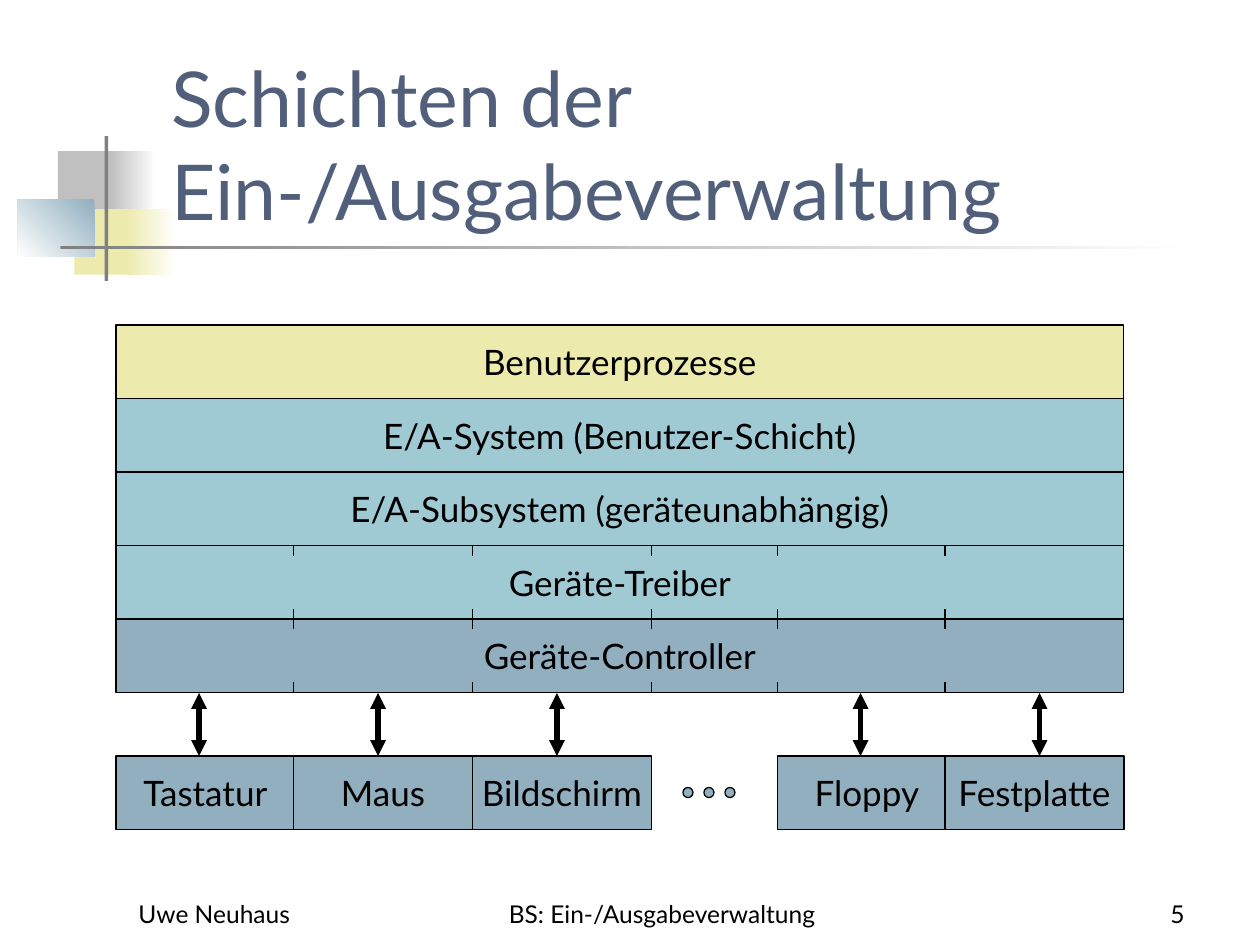
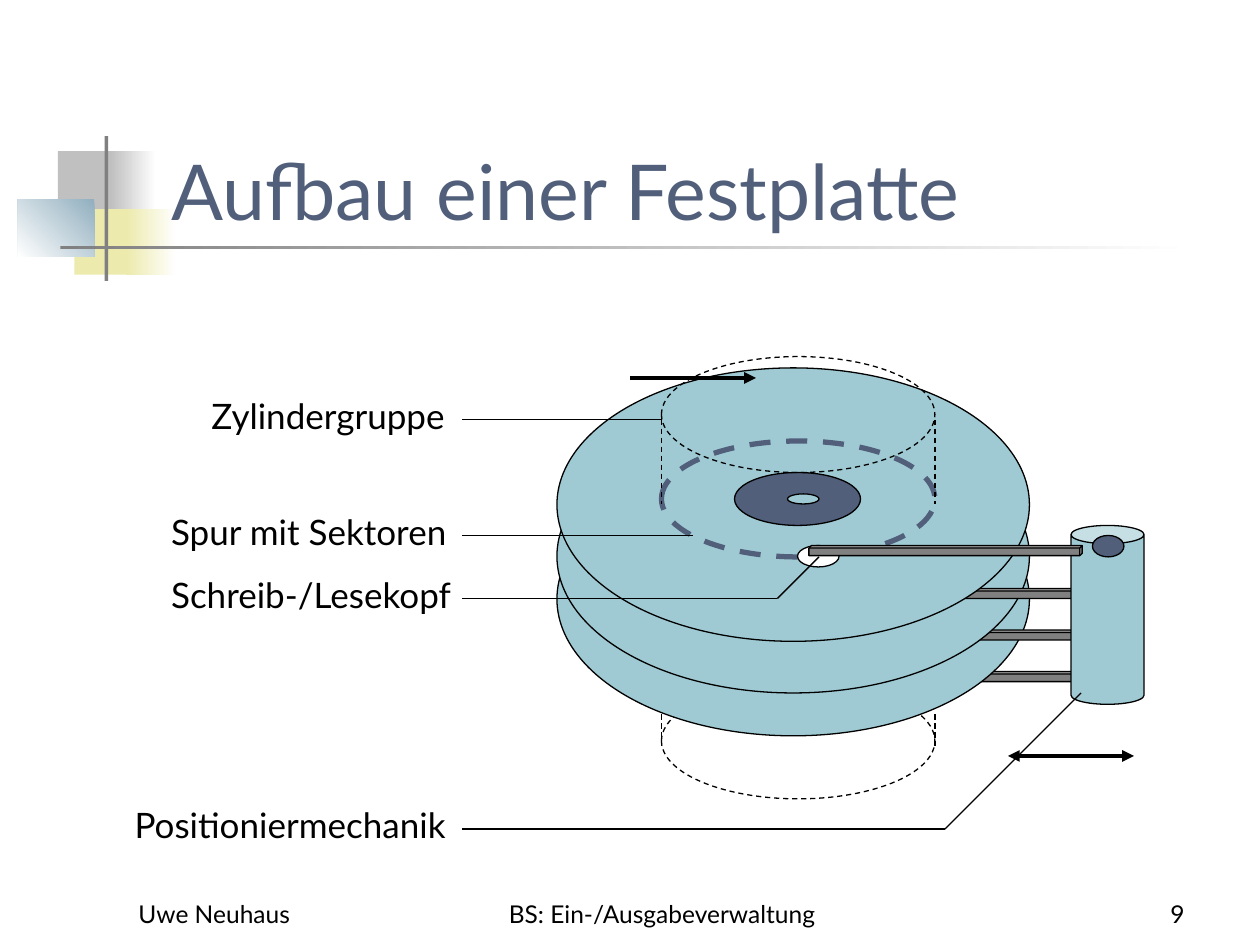
"""Build two slides on I/O management: the software layers and the structure of a hard disk."""
from lxml import etree
from pptx import Presentation
from pptx.dml.color import RGBColor
from pptx.enum import dml, shapes, text
from pptx.oxml.ns import qn
from pptx.util import Inches, Pt

FONT = "Lato"
BLACK = RGBColor(0x00, 0x00, 0x00)
WHITE = RGBColor(0xFF, 0xFF, 0xFF)
SILVER = RGBColor(0xC0, 0xC0, 0xC0)
GRAY = RGBColor(0x80, 0x80, 0x80)
YELLOW = RGBColor(0xEC, 0xEA, 0xAC)
STEEL = RGBColor(0x91, 0xAF, 0xBF)
AQUA = RGBColor(0x9F, 0xCA, 0xD3)
NAVY = RGBColor(0x51, 0x5F, 0x7B)

KIND = shapes.MSO_SHAPE
LEFT, CENTER, RIGHT = text.PP_ALIGN.LEFT, text.PP_ALIGN.CENTER, text.PP_ALIGN.RIGHT
TOP, MIDDLE, BOTTOM = text.MSO_ANCHOR.TOP, text.MSO_ANCHOR.MIDDLE, text.MSO_ANCHOR.BOTTOM


def add_shape(s, kind, x, y, w, h, fill=None, edge=BLACK, width=0.75, dashed=False):
    sp = s.shapes.add_shape(kind, Inches(x), Inches(y), Inches(w), Inches(h))
    sp.shadow.inherit = False
    if fill is None:
        sp.fill.background()
    else:
        sp.fill.solid()
        sp.fill.fore_color.rgb = fill
    if edge is None:
        sp.line.fill.background()
    else:
        sp.line.color.rgb = edge
        sp.line.width = Pt(width)
    if dashed:
        sp.line.dash_style = dml.MSO_LINE.DASH
    return sp


def set_text(sp, content, size=20, color=BLACK, align=LEFT, anchor=TOP, wrap=True):
    tf = sp.text_frame
    tf.word_wrap = wrap
    tf.vertical_anchor = anchor
    tf.text = content
    p = tf.paragraphs[0]
    p.alignment = align
    for r in p.runs:
        r.font.name = FONT
        r.font.size = Pt(size)
        r.font.color.rgb = color


prs = Presentation()
prs.slide_width, prs.slide_height = Inches(10), Inches(7.5)

DECOR = [
    (0.46, 1.2, 0.48, 0.52, SILVER, SILVER, 0),
    (0.88, 1.2, 0.36, 0.52, SILVER, WHITE, 0),
    (0.59, 1.66, 0.46, 0.52, YELLOW, YELLOW, 0),
    (1, 1.66, 0.4, 0.52, YELLOW, WHITE, 0),
    (0.14, 1.58, 0.61, 0.46, STEEL, WHITE, 225),
    (0.83, 1.08, 0.03, 1.15, GRAY, GRAY, 0),
    (0.48, 1.95, 9, 0.03, GRAY, WHITE, 0),
]
TITLES = [("Schichten der \vEin-/Ausgabeverwaltung", "5"), ("Aufbau einer Festplatte", "9")]

for title, number in TITLES:
    s = prs.slides.add_slide(prs.slide_layouts[6])
    for x, y, w, h, start, end, angle in DECOR:
        sp = add_shape(s, KIND.RECTANGLE, x, y, w, h, start, None)
        if start != end:
            sp.fill.gradient()
            sp.fill.gradient_angle = angle
            for stop, color in zip(sp.fill.gradient_stops, (start, end)):
                stop.color.rgb = color
    for x, y, w, h, content, size, color, align in [
        (1.26, 0.67, 8.52, 1.25, title, 44, NAVY, LEFT),
        (1, 6.92, 2.08, 0.5, "Uwe Neuhaus", 14, BLACK, LEFT),
        (3.67, 6.92, 3.17, 0.5, "BS: Ein-/Ausgabeverwaltung", 14, BLACK, CENTER),
        (7.42, 6.92, 2.08, 0.5, number, 14, BLACK, RIGHT),
    ]:
        sp = s.shapes.add_textbox(Inches(x), Inches(y), Inches(w), Inches(h))
        set_text(sp, content, size, color, align, BOTTOM)

layers, disk = prs.slides
lines = []

LAYERS = [
    ("Benutzerprozesse", YELLOW),
    ("E/A-System (Benutzer-Schicht)", AQUA),
    ("E/A-Subsystem (geräteunabhängig)", AQUA),
    ("Geräte-Treiber", AQUA),
    ("Geräte-Controller", STEEL),
]
ROW_H = 7 / 12
TICK = 0.08
for i, (name, fill) in enumerate(LAYERS):
    y = 2.58 + i * ROW_H
    sp = add_shape(layers, KIND.RECTANGLE, 0.92, y, 8, ROW_H, fill)
    set_text(sp, name, align=CENTER, anchor=MIDDLE, wrap=False)
    if name in ("Geräte-Treiber", "Geräte-Controller"):
        for x in (2.33, 3.75, 5.17, 6.17, 7.5):
            for top in (y, y + ROW_H - TICK):
                lines.append((layers, x, top, x, top + TICK, 0.75, False, False))

DEVICES = [
    ("Tastatur", 0.92, 1.58),
    ("Maus", 2.33, 3),
    ("Bildschirm", 3.75, 4.42),
    ("Floppy", 6.17, 6.83),
    ("Festplatte", 7.5, 8.25),
]
for name, x, arrow_x in DEVICES:
    sp = add_shape(layers, KIND.RECTANGLE, x, 6, 1.42, ROW_H, STEEL)
    set_text(sp, name, align=CENTER, anchor=MIDDLE, wrap=False)
    lines.append((layers, arrow_x, 5.5, arrow_x, 6, 3, False, True))
for i in range(3):
    add_shape(layers, KIND.OVAL, 5.42 + i / 6, 6.25, 0.08, 0.08, STEEL)

add_shape(disk, KIND.OVAL, 5.25, 5.42, 2.17, 0.92, dashed=True)
for arm_y, platter_y in ((5.33, 3.67), (5, 3.33), (4.67, 2.92)):
    add_shape(disk, KIND.CUBE, 6.42, arm_y, 2.17, 0.08, GRAY)
    add_shape(disk, KIND.OVAL, 4.42, platter_y, 3.75, 2.17, AQUA)
add_shape(disk, KIND.CAN, 8.5, 4.17, 0.58, 1.42, AQUA)
add_shape(disk, KIND.OVAL, 8.67, 4.25, 0.25, 0.17, NAVY)
add_shape(disk, KIND.OVAL, 5.25, 3.5, 2.17, 0.92, AQUA, NAVY, 3, True)
add_shape(disk, KIND.OVAL, 5.83, 3.75, 1, 0.42, NAVY)
add_shape(disk, KIND.OVAL, 6.25, 3.92, 0.25, 0.08, AQUA)
add_shape(disk, KIND.OVAL, 6.33, 4.33, 0.33, 0.17, WHITE)
add_shape(disk, KIND.CUBE, 6.42, 4.33, 2.17, 0.08, GRAY)
add_shape(disk, KIND.OVAL, 5.25, 2.83, 2.17, 0.92, dashed=True)

ROTATION = [(4.58, 3.19), (5, 2.87), (5.56, 2.67), (6.16, 2.67)]
SWING = [(8.5, 5.64), (8.6, 5.9), (8.98, 5.9), (9.08, 5.63)]
STEPS = 20
for controls, ends in ((ROTATION, ["a:tailEnd"]), (SWING, ["a:headEnd", "a:tailEnd"])):
    points = []
    for i in range(STEPS + 1):
        t = i / STEPS
        weights = ((1 - t) ** 3, 3 * t * (1 - t) ** 2, 3 * t ** 2 * (1 - t), t ** 3)
        points.append([sum(k * c for k, c in zip(weights, axis)) for axis in zip(*controls)])
    fb = disk.shapes.build_freeform(*points[0], scale=Inches(1))
    fb.add_line_segments(points[1:], close=False)
    sp = fb.convert_to_shape()
    sp.shadow.inherit = False
    sp.fill.background()
    sp.line.color.rgb = BLACK
    sp.line.width = Pt(2.25)
    for end in ends:
        etree.SubElement(sp.element.spPr.find(qn("a:ln")), qn(end), type="triangle")

for x in (5.25, 7.42):
    for top, bottom in ((3.33, 4), (5.67, 5.92)):
        lines.append((disk, x, top, x, bottom, 0.75, True, False))

CALLOUTS = [
    ("Zylindergruppe", 1.58, 3.08, 2.21, [(3.67, 3.33), (5.25, 3.33)]),
    ("Spur mit Sektoren", 1.26, 4, 2.56, [(3.67, 4.25), (5.5, 4.25)]),
    ("Schreib-/Lesekopf", 1.26, 4.5, 2.54, [(3.67, 4.75), (6.17, 4.75), (6.5, 4.42)]),
    ("Positioniermechanik", 0.97, 6.33, 2.87, [(3.67, 6.58), (7.5, 6.58), (8.58, 5.5)]),
]
for name, x, y, w, leader in CALLOUTS:
    sp = disk.shapes.add_textbox(Inches(x), Inches(y), Inches(w), Inches(0.44))
    set_text(sp, name)
    for start, end in zip(leader, leader[1:]):
        lines.append((disk, *start, *end, 0.75, False, False))

for s, x1, y1, x2, y2, width, dashed, arrows in lines:
    sp = s.shapes.add_connector(
        shapes.MSO_CONNECTOR.STRAIGHT, Inches(x1), Inches(y1), Inches(x2), Inches(y2))
    sp.line.color.rgb = BLACK
    sp.line.width = Pt(width)
    if dashed:
        sp.line.dash_style = dml.MSO_LINE.DASH
    if arrows:
        for end in ("a:headEnd", "a:tailEnd"):
            etree.SubElement(sp.element.spPr.find(qn("a:ln")), qn(end), type="triangle")
    etree.SubElement(sp.element.spPr, qn("a:effectLst"))

prs.save("out.pptx")
